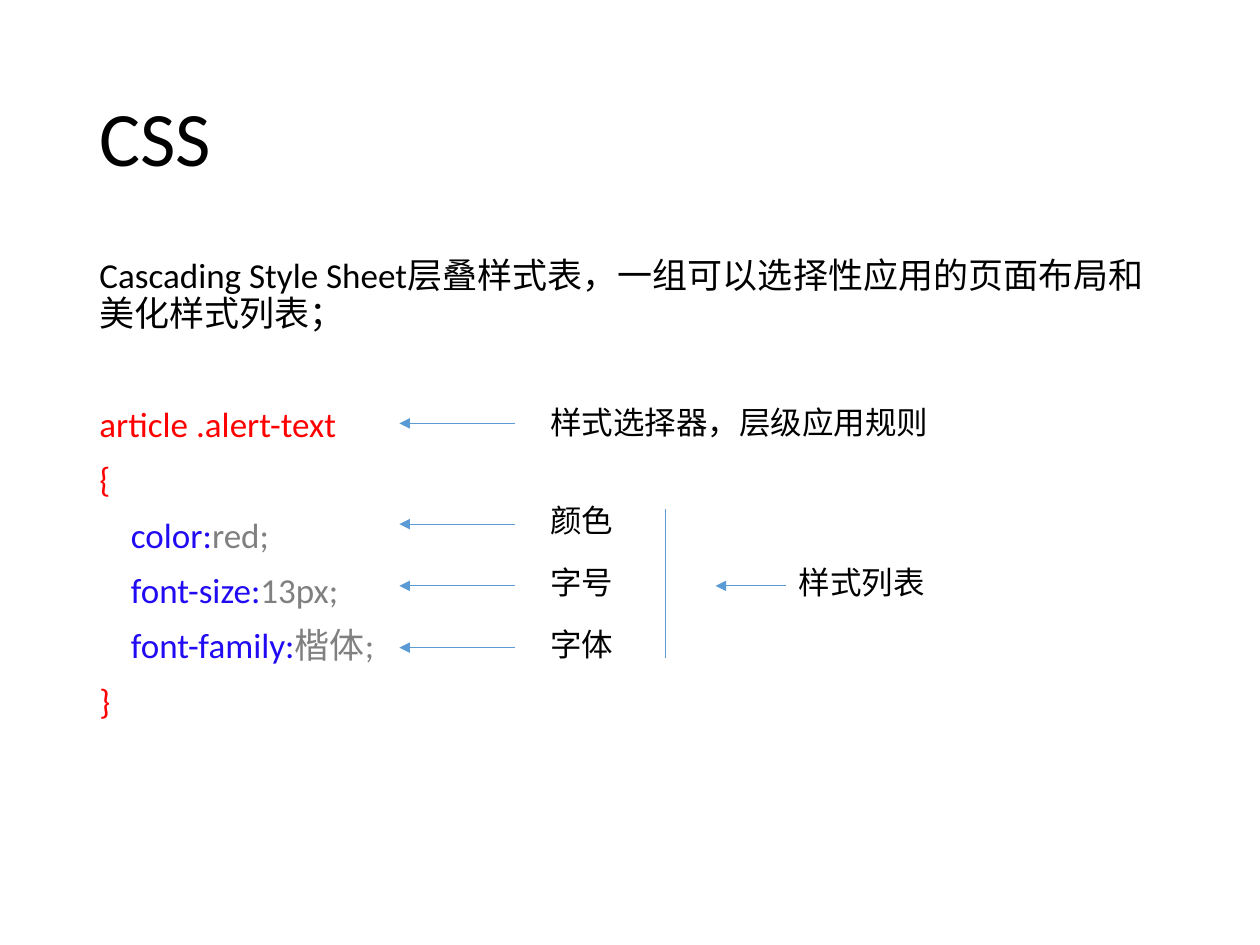
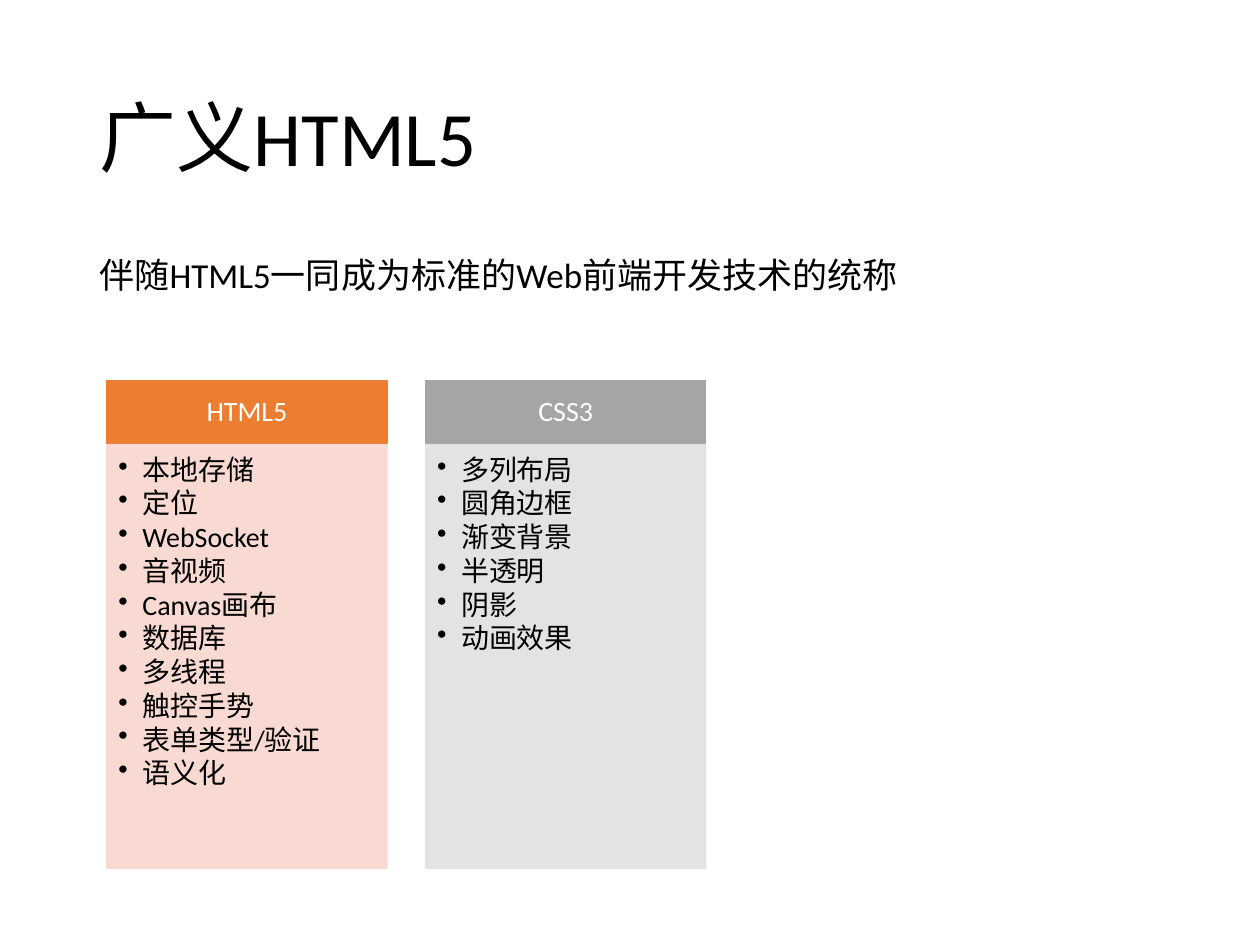
from dataclasses import dataclass

from lxml.etree import SubElement
from pptx import Presentation
from pptx.dml.color import RGBColor
from pptx.enum.shapes import MSO_CONNECTOR, MSO_SHAPE
from pptx.enum.text import MSO_ANCHOR, MSO_AUTO_SIZE, PP_ALIGN
from pptx.oxml.ns import qn
from pptx.util import Inches, Pt


@dataclass(frozen=True)
class Theme:
    font: str = "Calibri"
    title_size: int = 44
    body_size: int = 20
    label_size: int = 18
    card_size: int = 16
    text: str = "000000"
    white: str = "FFFFFF"
    selector: str = "FF0000"
    property: str = "210BF3"
    value: str = "808080"
    line: str = "5B9BD5"
    line_spacing: float = 0.9


THEME = Theme()

# Paragraphs: (indent in inches, space before in points, [(text, colour), ...])
CSS_TITLE = "CSS"
CSS_BODY = [
    (0, 10, [("Cascading Style Sheet层叠样式表，一组可以选择性应用的页面布局和美化样式列表；", THEME.text)]),
    (0, 42, [("article .alert-text", THEME.selector)]),
    (0, 10, [("{", THEME.selector)]),
    (0.25, 10, [("color:", THEME.property), ("red;", THEME.value)]),
    (0.25, 10, [("font-size:", THEME.property), ("13px;", THEME.value)]),
    (0.25, 10, [("font-family:", THEME.property), ("楷体;", THEME.value)]),
    (0, 10, [("}", THEME.selector)]),
]
SELECTOR_NOTE = "样式选择器，层级应用规则"
PROPERTY_NOTES = ["颜色", "字号", "字体"]
LIST_NOTE = "样式列表"

HTML5_TITLE = "广义HTML5"
HTML5_BODY = [(0, 10, [("伴随HTML5一同成为标准的Web前端开发技术的统称", THEME.text)])]
# Cards: (heading, heading fill, list fill, items)
CARDS = [
    ("HTML5", "ED7D31", "F8D7CE",
     ["本地存储", "定位", "WebSocket", "音视频", "Canvas画布", "数据库",
      "多线程", "触控手势", "表单类型/验证", "语义化"]),
    ("CSS3", "A5A5A5", "E1E1E1",
     ["多列布局", "圆角边框", "渐变背景", "半透明", "阴影", "动画效果"]),
]


def color(code):
    return RGBColor.from_string(code)


def style_para(para, size, code=THEME.text, spacing=THEME.line_spacing, align=PP_ALIGN.LEFT):
    para.alignment = align
    para.line_spacing = spacing
    for span in para.runs:
        span.font.name = THEME.font
        span.font.size = Pt(size)
        span.font.color.rgb = color(code)


def set_indent(para, left, first=0):
    properties = para._p.get_or_add_pPr()
    properties.set("marL", str(Inches(left)))
    properties.set("indent", str(Inches(first)))
    return properties


def set_insets(frame, left, top, right, bottom):
    frame.margin_left, frame.margin_top = Inches(left), Inches(top)
    frame.margin_right, frame.margin_bottom = Inches(right), Inches(bottom)


def add_page(deck, title, body):
    """Add a slide with its title and the body text below it."""
    page = deck.slides.add_slide(deck.slide_layouts[5])
    heading = page.shapes.title
    heading.left, heading.top = Inches(0.69), Inches(0.4)
    heading.width, heading.height = Inches(8.62), Inches(1.45)
    frame = heading.text_frame
    frame.text = title
    frame.auto_size = MSO_AUTO_SIZE.NONE
    frame.vertical_anchor = MSO_ANCHOR.MIDDLE
    style_para(frame.paragraphs[0], THEME.title_size)

    box = page.shapes.add_textbox(Inches(0.69), Inches(2), Inches(8.62), Inches(4.76))
    frame = box.text_frame
    frame.word_wrap = True
    for index, (indent, before, pieces) in enumerate(body):
        para = frame.add_paragraph() if index else frame.paragraphs[0]
        for text, _ in pieces:
            para.add_run().text = text
        style_para(para, THEME.body_size)
        for span, (_, code) in zip(para.runs, pieces):
            span.font.color.rgb = color(code)
        para.space_before = Pt(before)
        if indent:
            set_indent(para, indent)
    return page


def add_note(page, text, left, top, width):
    box = page.shapes.add_textbox(Inches(left), Inches(top), Inches(width), Inches(0.4))
    box.text_frame.text = text
    box.text_frame.word_wrap = False
    style_para(box.text_frame.paragraphs[0], THEME.label_size, spacing=1.0)


def add_line(page, start, end, arrow=True):
    line = page.shapes.add_connector(
        MSO_CONNECTOR.STRAIGHT, *(Inches(value) for value in (*start, *end)))
    line.line.color.rgb = color(THEME.line)
    line.line.width = Pt(0.5)
    if arrow:
        SubElement(line.line._get_or_add_ln(), qn("a:tailEnd"), type="triangle")
    SubElement(line._element.spPr, qn("a:effectLst"))


def add_block(page, left, top, width, height, fill, opacity=100):
    block = page.shapes.add_shape(
        MSO_SHAPE.RECTANGLE, *(Inches(value) for value in (left, top, width, height)))
    block.shadow.inherit = False
    block.fill.solid()
    block.fill.fore_color.rgb = color(fill)
    block.line.color.rgb = color(fill)
    block.line.width = Pt(1)
    if opacity < 100:
        for code in block._element.spPr.iter(qn("a:srgbClr")):
            SubElement(code, qn("a:alpha"), val=str(opacity * 1000))
    block.text_frame.word_wrap = True
    return block


def add_card(page, left, heading, heading_fill, list_fill, items):
    top, width, heading_height, list_height = 3.02, 2.22, 0.5, 3.36
    frame = add_block(page, left, top, width, heading_height, heading_fill).text_frame
    frame.text = heading
    frame.vertical_anchor = MSO_ANCHOR.MIDDLE
    set_insets(frame, 0.12, 0.07, 0.12, 0.07)
    style_para(frame.paragraphs[0], THEME.card_size, THEME.white, align=PP_ALIGN.CENTER)

    frame = add_block(page, left, top + heading_height + 0.01, width, list_height,
                      list_fill, opacity=90).text_frame
    frame.text = "\n".join(items)
    frame.vertical_anchor = MSO_ANCHOR.TOP
    set_insets(frame, 0.09, 0.09, 0.12, 0.14)
    for para in frame.paragraphs:
        style_para(para, THEME.card_size)
        para.space_after = Pt(2)
        SubElement(set_indent(para, 0.19, -0.19), qn("a:buChar"), char="•")


def build_css(deck):
    page = add_page(deck, CSS_TITLE, CSS_BODY)
    note_left, arrow_start, arrow_end = 4.27, 4.09, 3.17
    first_note, first_arrow, step = 3.93, 4.16, 0.49

    add_note(page, SELECTOR_NOTE, note_left, 3.15, 3.23)
    add_line(page, (arrow_start, 3.36), (arrow_end, 3.36))
    for row, text in enumerate(PROPERTY_NOTES):
        arrow_top = first_arrow + row * step
        add_note(page, text, note_left, first_note + row * step, 0.71)
        add_line(page, (arrow_start, arrow_top), (arrow_end, arrow_top))

    middle = first_arrow + step
    add_line(page, (5.28, 4.04), (5.28, 5.22), arrow=False)
    add_line(page, (6.24, middle), (5.68, middle))
    add_note(page, LIST_NOTE, 6.24, first_note + step, 1.21)


def build_html5(deck):
    page = add_page(deck, HTML5_TITLE, HTML5_BODY)
    for column, card in enumerate(CARDS):
        add_card(page, 0.85 + column * 2.53, *card)


def main():
    deck = Presentation()
    deck.slide_width, deck.slide_height = Inches(10), Inches(7.5)
    build_css(deck)
    build_html5(deck)
    deck.save("out.pptx")


if __name__ == "__main__":
    main()
